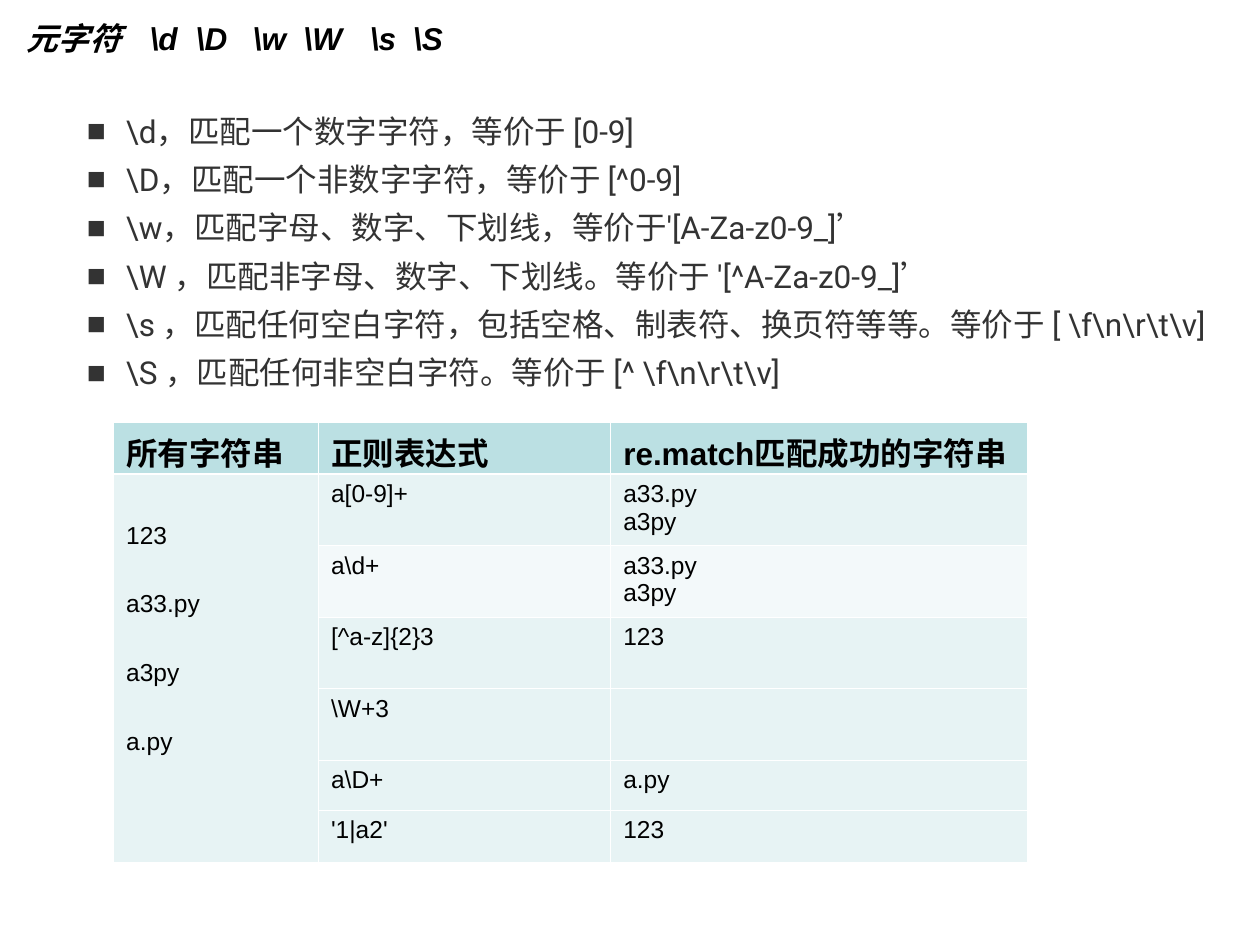
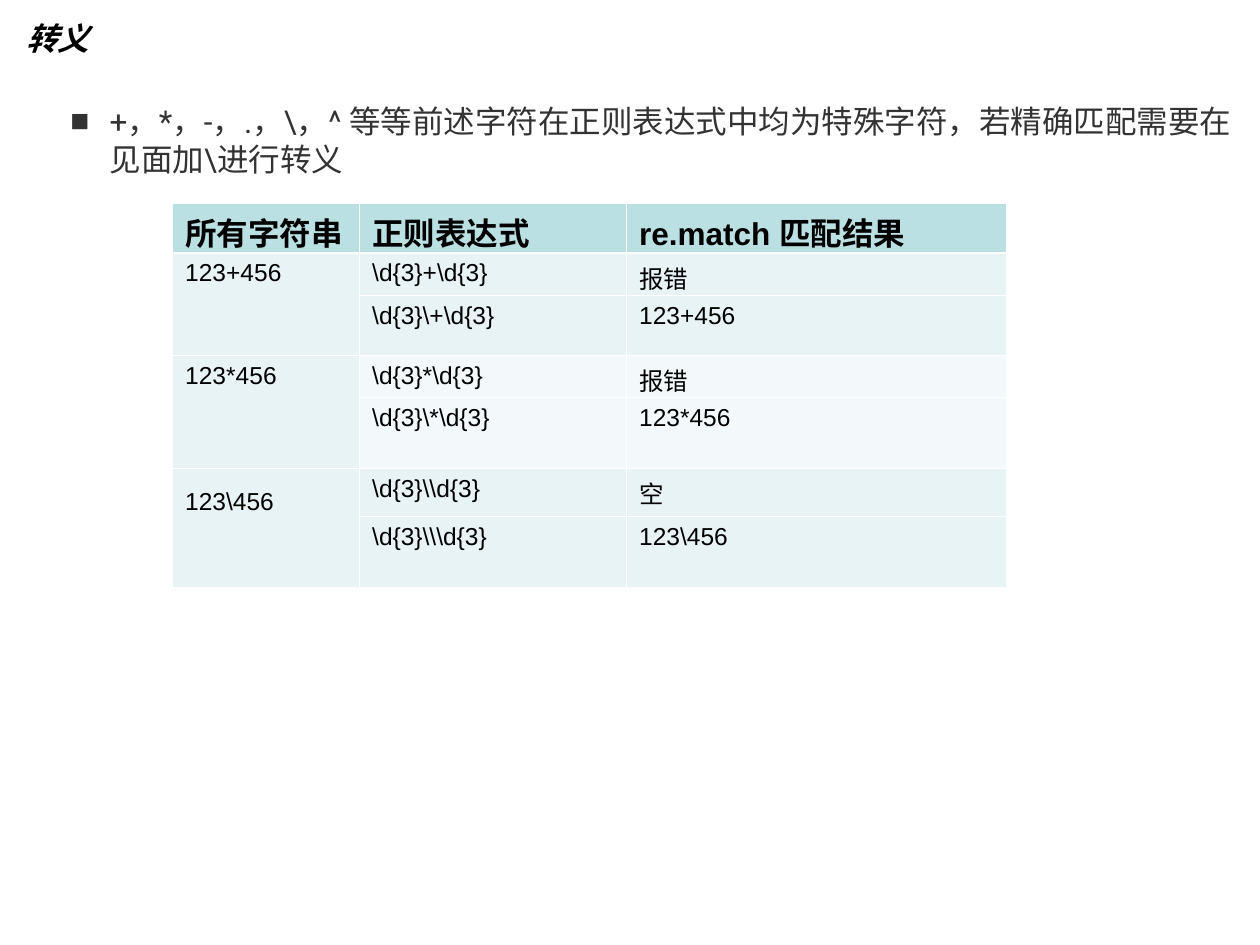
from dataclasses import dataclass
from typing import Optional

from lxml.etree import SubElement
from pptx import Presentation
from pptx.dml.color import RGBColor
from pptx.enum.text import MSO_AUTO_SIZE
from pptx.oxml import parse_xml
from pptx.oxml.ns import nsdecls, qn
from pptx.util import Cm, Pt

COLORS = {
    "title": "000000",
    "body": "333333",
    "header": "BBE0E3",
    "band": "E7F3F4",
    "light": "F3F9FA",
    "border": "FFFFFF",
}
THIN, THICK = 0.45, 1.47
INDENT = 0.79


@dataclass(frozen=True)
class TextStyle:
    size: float
    font: str
    color: str
    bold: bool = False
    italic: bool = False


TITLE = TextStyle(18, "Arial", "title", True, True)
BODY = TextStyle(18, "Roboto", "body")
HEADER = TextStyle(18, "Arial", "title", True)
CELL = TextStyle(14, "Arial", "title")


@dataclass(frozen=True)
class Box:
    left: float
    top: float
    width: float
    height: float


@dataclass(frozen=True)
class Merged:
    row: int
    rows: int
    text: str
    spacing: Optional[float] = None


@dataclass(frozen=True)
class MatchTable:
    left: float
    top: float
    widths: list[float]
    heights: list[float]
    header: list[str]
    subjects: list[Merged]
    matches: list[tuple[str, str]]
    light_rows: tuple[int, ...]


@dataclass(frozen=True)
class Topic:
    title: str
    title_width: float
    title_tabs: list[float]
    bullets: list[str]
    bullet_box: Box
    space_after: float
    table: MatchTable


TOPICS = [
    Topic(
        "元字符\t\\d\t\\D\t\\w\t\\W\t\\s\t\\S", 8.9,
        [2.49, 3.42, 4.57, 5.59, 6.93, 7.8],
        [
            r"\d，匹配一个数字字符，等价于 [0-9]",
            r"\D，匹配一个非数字字符，等价于 [^0-9]",
            r"\w，匹配字母、数字、下划线，等价于'[A-Za-z0-9_]’",
            r"\W ，匹配非字母、数字、下划线。等价于 '[^A-Za-z0-9_]’",
            r"\s ，匹配任何空白字符，包括空格、制表符、换页符等等。等价于 [ \f\n\r\t\v]",
            r"\S ，匹配任何非空白字符。等价于 [^ \f\n\r\t\v]",
        ],
        Box(1.5, 2.13, 23.72, 5.89), 6,
        MatchTable(
            2.29, 8.52, [4.13, 5.89, 8.4],
            [1.04, 1.44, 1.44, 1.44, 1.44, 1.01, 1.05],
            ["所有字符串", "正则表达式", "re.match匹配成功的字符串"],
            [Merged(1, 6, "123\va33.py\va3py\va.py", 2.5)],
            [
                ("a[0-9]+", "a33.py\na3py"),
                (r"a\d+", "a33.py\na3py"),
                ("[^a-z]{2}3", "123"),
                (r"\W+3", ""),
                (r"a\D+", "a.py"),
                ("'1|a2'", "123"),
            ],
            (2,),
        ),
    ),
    Topic(
        "转义", 1.9, [],
        [r"+，*，-，.，\，^ 等等前述字符在正则表达式中均为特殊字符，若精确匹配需要在见面加\进行转义"],
        Box(1.17, 1.93, 24.23, 3.3), 0,
        MatchTable(
            3.48, 4.09, [3.77, 5.38, 7.66],
            [0.98, 0.85, 1.21, 0.85, 1.43, 0.97, 1.43],
            ["所有字符串", "正则表达式", "re.match 匹配结果"],
            [Merged(1, 2, "123+456"), Merged(3, 2, "123*456"),
             Merged(5, 2, r"123\456", 1.5)],
            [
                (r"\d{3}+\d{3}", "报错"),
                (r"\d{3}\+\d{3}", "123+456"),
                (r"\d{3}*\d{3}", "报错"),
                (r"\d{3}\*\d{3}", "123*456"),
                (r"\d{3}\\d{3}", "空"),
                (r"\d{3}\\\d{3}", r"123\456"),
            ],
            (3, 4),
        ),
    ),
]


def rgb(name: str) -> RGBColor:
    return RGBColor.from_string(COLORS[name])


def add_text(p, text: str, style: TextStyle) -> None:
    for i, line in enumerate(text.split("\v")):
        if i:
            p.add_line_break()
        r = p.add_run()
        r.text = line
        r.font.size = Pt(style.size)
        r.font.name = style.font
        r.font.bold = style.bold
        r.font.italic = style.italic
        r.font.color.rgb = rgb(style.color)


def add_box(slide, box: Box):
    sp = slide.shapes.add_textbox(Cm(box.left), Cm(box.top), Cm(box.width), Cm(box.height))
    tf = sp.text_frame
    tf.word_wrap = True
    tf.auto_size = MSO_AUTO_SIZE.SHAPE_TO_FIT_TEXT
    return tf


def add_title(slide, topic: Topic) -> None:
    p = add_box(slide, Box(0.28, 0.25, topic.title_width, 1.02)).paragraphs[0]
    if topic.title_tabs:
        tabs = SubElement(p._p.get_or_add_pPr(), qn("a:tabLst"))
        for stop in topic.title_tabs:
            SubElement(tabs, qn("a:tab"), pos=str(Cm(stop)), algn="l")
    add_text(p, topic.title, TITLE)


def add_bullets(slide, topic: Topic) -> None:
    tf = add_box(slide, topic.bullet_box)
    for i, text in enumerate(topic.bullets):
        p = tf.add_paragraph() if i else tf.paragraphs[0]
        pPr = p._p.get_or_add_pPr()
        pPr.set("marL", str(Cm(INDENT)))
        pPr.set("indent", str(-Cm(INDENT)))
        color = SubElement(pPr, qn("a:buClr"))
        SubElement(color, qn("a:srgbClr"), val=COLORS["body"])
        SubElement(pPr, qn("a:buFont"), typeface="Arial")
        SubElement(pPr, qn("a:buChar"), char="■")
        p.space_after = Pt(topic.space_after)
        add_text(p, text, BODY)


def style_cell(cell, fill: str, top: float, bottom: float) -> None:
    cell.fill.solid()
    cell.fill.fore_color.rgb = rgb(fill)
    tcPr = cell._tc.get_or_add_tcPr()
    sides = {"L": THIN, "R": THIN, "T": top, "B": bottom}
    for i, (side, width) in enumerate(sides.items()):
        tcPr.insert(i, parse_xml(
            f'<a:ln{side} {nsdecls("a")} w="{Pt(width)}"><a:solidFill>'
            f'<a:srgbClr val="{COLORS["border"]}"/></a:solidFill></a:ln{side}>'))


def fill_cell(cell, text: str, style: TextStyle, spacing: Optional[float] = None) -> None:
    if not text:
        return
    tf = cell.text_frame
    for i, line in enumerate(text.split("\n")):
        p = tf.add_paragraph() if i else tf.paragraphs[0]
        if spacing:
            p.line_spacing = spacing
        add_text(p, line, style)


def add_match_table(slide, spec: MatchTable) -> None:
    rows, cols = len(spec.heights), len(spec.widths)
    table = slide.shapes.add_table(
        rows, cols, Cm(spec.left), Cm(spec.top),
        Cm(sum(spec.widths)), Cm(sum(spec.heights))).table
    table.first_row = table.horz_banding = False
    for column, width in zip(table.columns, spec.widths):
        column.width = Cm(width)
    for row, height in zip(table.rows, spec.heights):
        row.height = Cm(height)
    for i in range(rows):
        for j in range(cols):
            light = i in spec.light_rows and j > 0
            fill = "header" if i == 0 else "light" if light else "band"
            style_cell(table.cell(i, j), fill,
                       THICK if i == 1 else THIN, THICK if i == 0 else THIN)
    for j, text in enumerate(spec.header):
        fill_cell(table.cell(0, j), text, HEADER)
    for m in spec.subjects:
        cell = table.cell(m.row, 0)
        cell.merge(table.cell(m.row + m.rows - 1, 0))
        fill_cell(cell, m.text, CELL, m.spacing)
    for i, match in enumerate(spec.matches, 1):
        for j, text in enumerate(match, 1):
            fill_cell(table.cell(i, j), text, CELL)


def main() -> None:
    prs = Presentation()
    prs.slide_width, prs.slide_height = Cm(25.4), Cm(19.05)
    for topic in TOPICS:
        slide = prs.slides.add_slide(prs.slide_layouts[6])
        add_title(slide, topic)
        add_bullets(slide, topic)
        add_match_table(slide, topic.table)
    prs.save("out.pptx")


if __name__ == "__main__":
    main()
